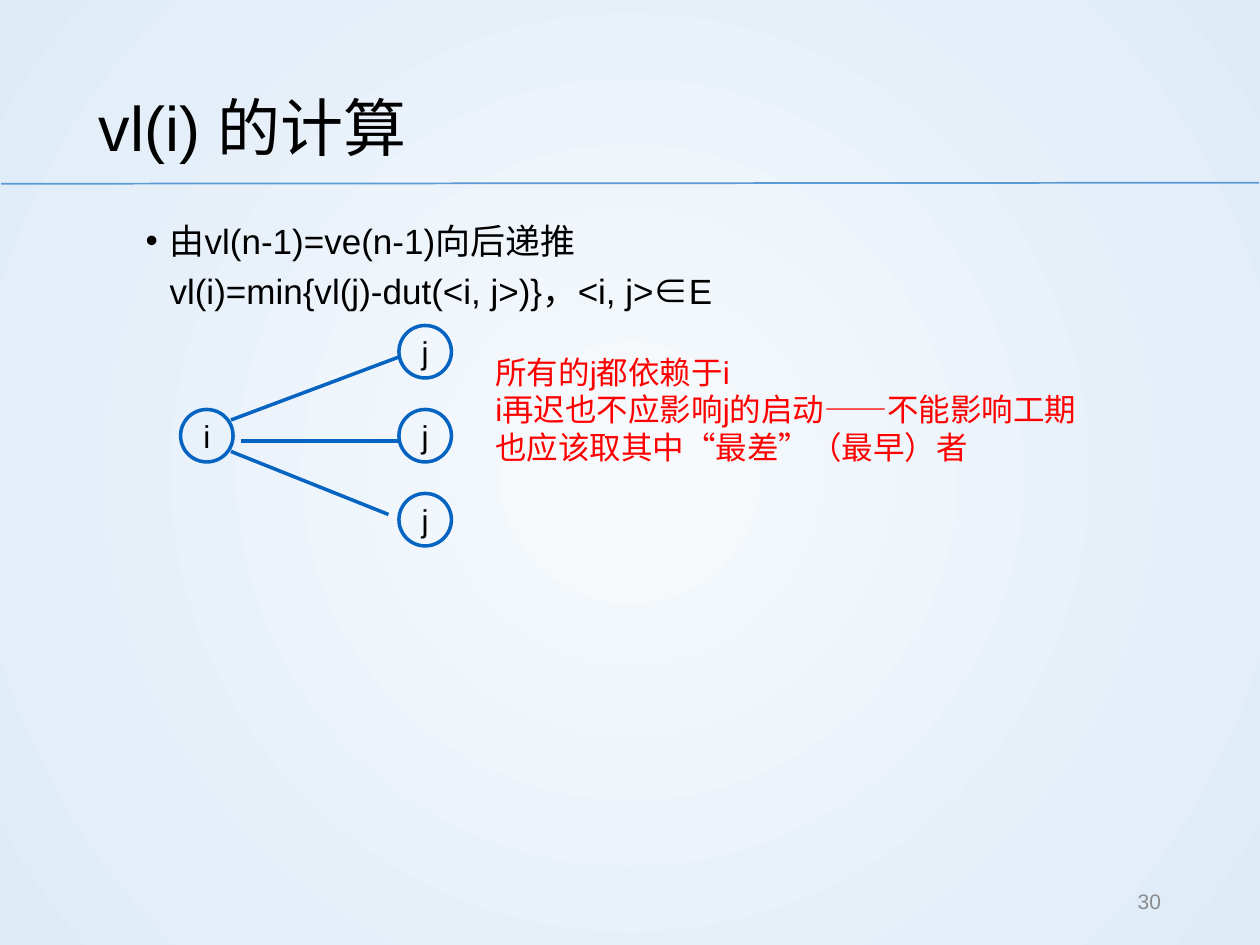
from dataclasses import dataclass

from lxml import etree
from pptx import Presentation
from pptx.dml.color import RGBColor
from pptx.enum.shapes import MSO_CONNECTOR, MSO_SHAPE
from pptx.enum.text import MSO_ANCHOR, PP_ALIGN
from pptx.oxml.ns import qn
from pptx.util import Inches, Length, Pt

STRAIGHT, OVAL = MSO_CONNECTOR.STRAIGHT, MSO_SHAPE.OVAL
TOP, MIDDLE = MSO_ANCHOR.TOP, MSO_ANCHOR.MIDDLE
LEFT, CENTER, RIGHT = PP_ALIGN.LEFT, PP_ALIGN.CENTER, PP_ALIGN.RIGHT


@dataclass(frozen=True)
class Theme:
    font: str = "Arial"
    cjk: str = "Noto Sans CJK SC"
    text: str = "000000"
    note: str = "FF0000"
    muted: str = "8C8C8C"
    edge: str = "0563C1"
    rule: str = "5B9BD5"
    glow: tuple[str, str] = ("F7FAFD", "DEEBF7")
    title_pt: int = 36
    body_pt: int = 20
    label_pt: int = 18
    number_pt: int = 12


@dataclass(frozen=True)
class Node:
    label: str
    col: float
    row: float


@dataclass(frozen=True)
class Edge:
    start: tuple[float, float]
    end: tuple[float, float]
    color: str
    width: float = 2


@dataclass(frozen=True)
class Block:
    text: str
    box: tuple[float, float, float, float]
    size: int
    color: str
    anchor: MSO_ANCHOR = TOP
    align: PP_ALIGN = LEFT
    spacing: float = 1.0
    bullet: bool = False


THEME = Theme()
NODE_SIZE = 5  # grid cells

# Columns and rows of a 120 x 90 grid over the slide
BLOCKS = [
    Block("vl(i) 的计算", (8.25, 4.8, 103.5, 13), THEME.title_pt, THEME.text,
          anchor=MIDDLE, spacing=1.2),
    Block("由vl(n-1)=ve(n-1)向后递推\nvl(i)=min{vl(j)-dut(<i, j>)}，<i, j>∈E",
          (8.25, 19.5, 103.5, 61.5), THEME.body_pt, THEME.text,
          spacing=1.2, bullet=True),
    Block("所有的j都依赖于i\ni再迟也不应影响j的启动——不能影响工期\n"
          "也应该取其中“最差”（最早）者",
          (46, 33, 58, 12), THEME.label_pt, THEME.note),
    Block("30", (84.75, 83.4, 27, 4.8), THEME.number_pt, THEME.muted,
          anchor=MIDDLE, align=RIGHT),
]
RULE = Edge((0.1, 17.5), (119.9, 17.4), THEME.rule, 1)
EDGES = [
    Edge((22, 43), (37, 49), THEME.edge),
    Edge((23, 42), (38, 42), THEME.edge),
    Edge((22, 40), (38, 34), THEME.edge),
]
NODES = [Node("i", 17.2, 39)] + [Node("j", 38, 31 + 8 * n) for n in range(3)]


def grid(*cells: float) -> list[Length]:
    return [Inches(cell / 12) for cell in cells]


def set_attrs(obj: object, values: dict) -> None:
    for name, value in values.items():
        setattr(obj, name, value)


def write(p, text: str, size: int, color: str) -> None:
    for n, line in enumerate(text.split("\n")):
        if n:
            p.add_line_break()
        # The element sign is set in the CJK face
        head, sign, tail = line.partition("∈")
        for part in filter(None, (head, sign, tail)):
            r = p.add_run()
            r.text = part
            face = THEME.cjk if part == "∈" else THEME.font
            set_attrs(r.font, {"name": face, "size": Pt(size)})
            r.font.color.rgb = RGBColor.from_string(color)
            ea = etree.SubElement(r.font._element, qn("a:ea"))
            ea.set("typeface", THEME.cjk)


def add_block(s, block: Block) -> None:
    tf = s.shapes.add_textbox(*grid(*block.box)).text_frame
    set_attrs(tf, {"word_wrap": True, "vertical_anchor": block.anchor})
    p = tf.paragraphs[0]
    set_attrs(p, {"alignment": block.align, "line_spacing": block.spacing})
    if block.bullet:
        p.space_before = Pt(3.8)
        pPr = p._p.get_or_add_pPr()
        pPr.set("marL", str(Inches(0.56)))
        pPr.set("indent", str(Inches(-0.19)))
        for tag, key, value in (("a:buFont", "typeface", THEME.font),
                                ("a:buChar", "char", "•")):
            etree.SubElement(pPr, qn(tag)).set(key, value)
    write(p, block.text, block.size, block.color)


def add_edge(s, edge: Edge) -> None:
    sp = s.shapes.add_connector(STRAIGHT, *grid(*edge.start, *edge.end))
    sp.line.color.rgb = RGBColor.from_string(edge.color)
    sp.line.width = Pt(edge.width)
    etree.SubElement(sp._element.spPr, qn("a:effectLst"))


def add_node(s, node: Node) -> None:
    sp = s.shapes.add_shape(OVAL, *grid(node.col, node.row, NODE_SIZE, NODE_SIZE))
    sp.shadow.inherit = False
    sp.fill.background()
    sp.line.color.rgb = RGBColor.from_string(THEME.edge)
    sp.line.width = Pt(2)
    tf = sp.text_frame
    set_attrs(tf, {"word_wrap": False, "vertical_anchor": MIDDLE})
    p = tf.paragraphs[0]
    p.alignment = CENTER
    write(p, node.label, THEME.label_pt, THEME.text)


def paint_background(s) -> None:
    fill = s.background.fill
    fill.gradient()
    for stop, color in zip(fill.gradient_stops, THEME.glow):
        stop.color.rgb = RGBColor.from_string(color)
    # Turn the linear gradient into a circular one around the centre
    grad = s.element.find(".//" + qn("a:gradFill"))
    grad.remove(grad.find(qn("a:lin")))
    circle = etree.SubElement(grad, qn("a:path"), {"path": "circle"})
    etree.SubElement(circle, qn("a:fillToRect"),
                     {side: "50000" for side in "ltrb"})


def main() -> None:
    prs = Presentation()
    prs.slide_width, prs.slide_height = grid(120, 90)
    s = prs.slides.add_slide(prs.slide_layouts[6])
    paint_background(s)

    # Title rule and text
    add_edge(s, RULE)
    for block in BLOCKS:
        add_block(s, block)

    # Dependency graph
    for edge in EDGES:
        add_edge(s, edge)
    for node in NODES:
        add_node(s, node)

    prs.save("out.pptx")


if __name__ == "__main__":
    main()
